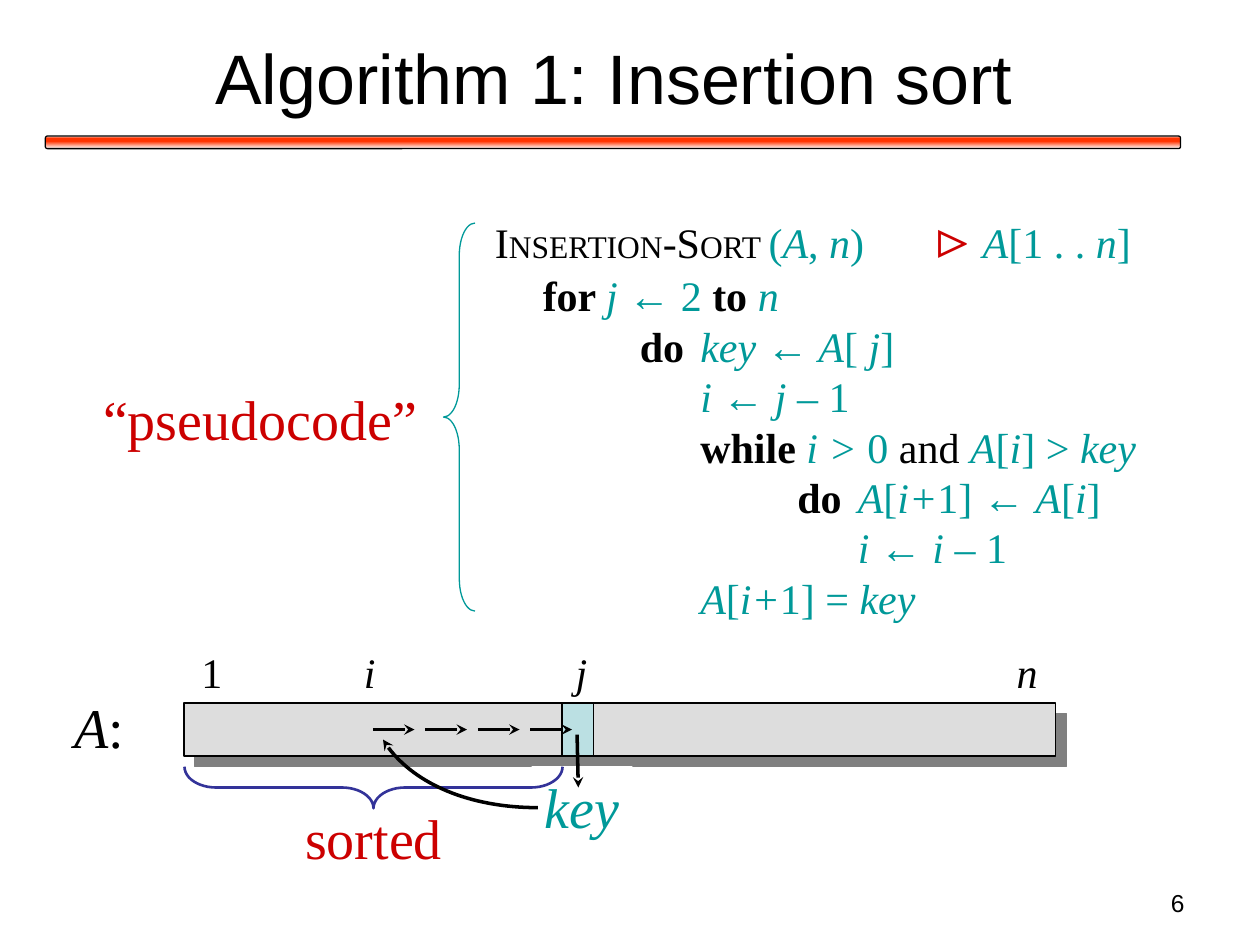
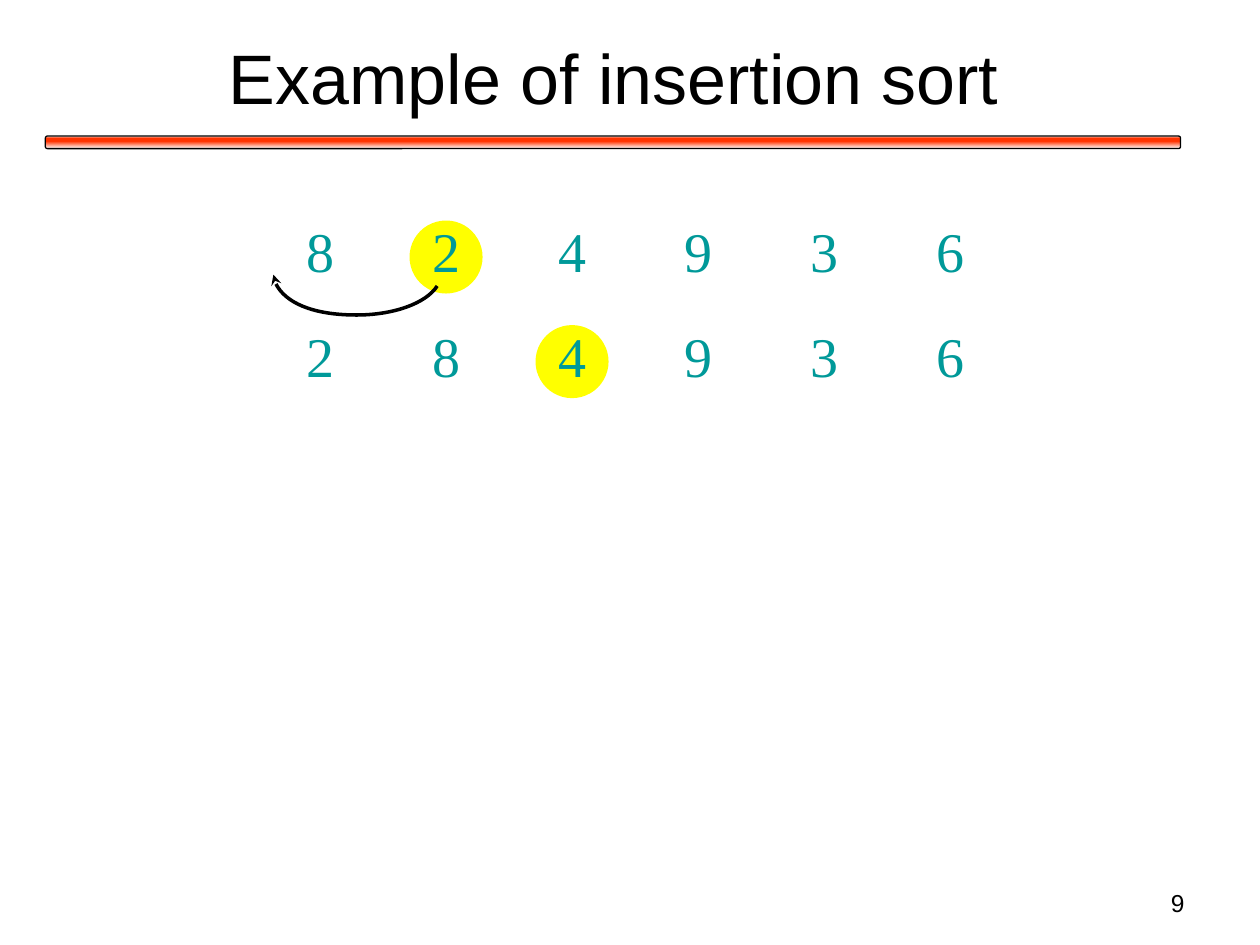
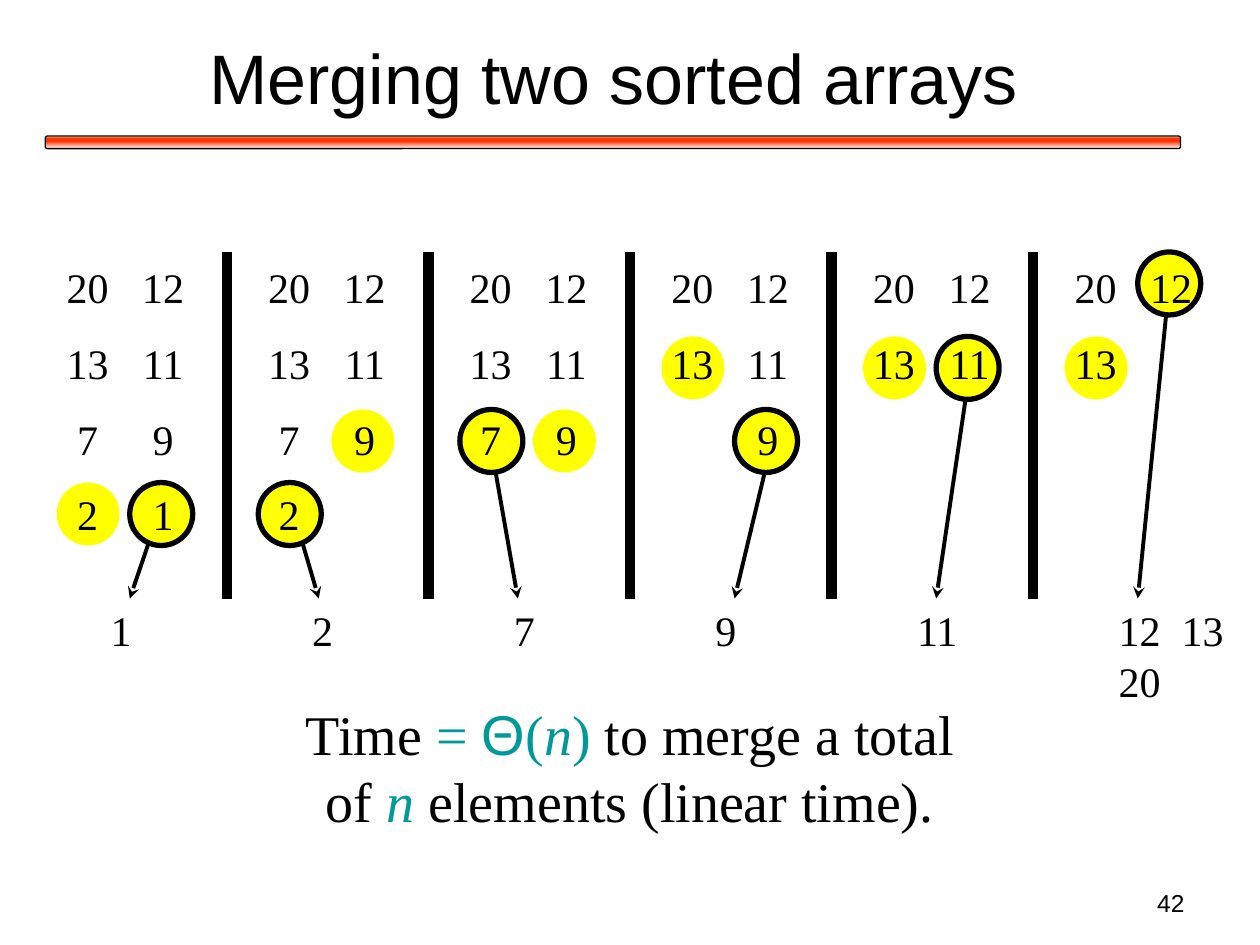
from dataclasses import dataclass
from typing import NamedTuple, Optional

from lxml.etree import SubElement
from pptx import Presentation
from pptx.dml.color import RGBColor
from pptx.enum.shapes import MSO_CONNECTOR, MSO_SHAPE
from pptx.enum.text import MSO_ANCHOR, MSO_AUTO_SIZE, PP_ALIGN
from pptx.oxml.ns import qn
from pptx.util import Inches, Pt


@dataclass(frozen=True)
class Theme:
    """Colours, fonts and type sizes of the deck."""
    black: str = "000000"
    white: str = "FFFFFF"
    teal: str = "009999"
    red: str = "CC0000"
    blue: str = "333399"
    yellow: str = "FFFF00"
    array: str = "DDDDDD"
    key_cell: str = "BBE0E3"
    shadow: str = "808080"
    bar: tuple = ((0, "FFFFFF"), (16, "FF3300"), (42, "FF3300"), (100, "FFFFFF"))
    sans: str = "Arial"
    serif: str = "Times New Roman"
    title: int = 40
    large: int = 32
    body: int = 24
    small_cap: int = 18
    page: int = 14


T = Theme()
LEFT, CENTER, RIGHT = PP_ALIGN.LEFT, PP_ALIGN.CENTER, PP_ALIGN.RIGHT


class Run(NamedTuple):
    """A piece of text with one format."""
    text: str
    size: int = T.body
    color: str = T.black
    bold: bool = False
    italic: bool = False
    font: str = T.serif


class Line(NamedTuple):
    """A paragraph with its indent and an optional tab stop."""
    runs: list
    left: float = 0
    hang: float = 0
    tab: Optional[float] = None


class MergeStep(NamedTuple):
    """One step of the merge: both columns, the side taken, the arrow, the output."""
    left: list
    right: list
    takes_right: bool
    start: tuple
    tip_x: float


def var(text: str, size: int = T.body) -> Run:
    """Teal italic variable."""
    return Run(text, size, T.teal, italic=True)


def sym(text: str, size: int = T.body) -> Run:
    """Teal upright symbols."""
    return Run(text, size, T.teal)


def word(text: str) -> Run:
    """Bold keyword."""
    return Run(text, bold=True)


def set_runs(p, runs: list) -> None:
    """Add formatted runs to a paragraph."""
    for item in runs:
        r = p.add_run()
        r.text = item.text
        r.font.size, r.font.name = Pt(item.size), item.font
        r.font.bold, r.font.italic = item.bold, item.italic
        r.font.color.rgb = RGBColor.from_string(item.color)


def add_text(slide, x: float, y: float, w: float, h: float, lines: list,
             align=LEFT, wrap: bool = False, spacing: Optional[float] = None):
    """Add a text box; each line is a Line or a list of runs."""
    sp = slide.shapes.add_textbox(Inches(x), Inches(y), Inches(w), Inches(h))
    tf = sp.text_frame
    tf.word_wrap = wrap
    tf.auto_size = MSO_AUTO_SIZE.NONE if wrap else MSO_AUTO_SIZE.SHAPE_TO_FIT_TEXT
    for n, item in enumerate(lines):
        line = item if isinstance(item, Line) else Line(item)
        p = tf.add_paragraph() if n else tf.paragraphs[0]
        p.alignment = align
        if spacing:
            p.line_spacing = spacing
        set_runs(p, line.runs)
        pr = p._p.get_or_add_pPr()
        if line.left:
            pr.set("marL", str(Inches(line.left)))
            pr.set("indent", str(-Inches(line.hang)))
        if line.tab:
            tabs = SubElement(pr, qn("a:tabLst"))
            SubElement(tabs, qn("a:tab"), pos=str(Inches(line.tab)), algn="l")
    return sp


def style(sp, fill: Optional[str], line: Optional[str], width: float) -> None:
    """Set fill and outline and remove the shadow."""
    sp.shadow.inherit = False
    if fill:
        sp.fill.solid()
        sp.fill.fore_color.rgb = RGBColor.from_string(fill)
    else:
        sp.fill.background()
    if line:
        sp.line.color.rgb = RGBColor.from_string(line)
        sp.line.width = Pt(width)
    else:
        sp.line.fill.background()


def add_shape(slide, kind, x: float, y: float, w: float, h: float,
              fill: Optional[str] = None, line: Optional[str] = None, width: float = 0.75):
    """Add a preset shape."""
    sp = slide.shapes.add_shape(kind, Inches(x), Inches(y), Inches(w), Inches(h))
    style(sp, fill, line, width)
    return sp


def add_brace(slide, x: float, y: float, w: float, h: float, curl: float,
              color: str, width: float, rotation: int = 0) -> None:
    """Add a left brace, rotated if asked."""
    sp = add_shape(slide, MSO_SHAPE.LEFT_BRACE, x, y, w, h, line=color, width=width)
    sp.adjustments[0] = curl
    sp.rotation = rotation


def add_arrowhead(sp) -> None:
    """Put a stealth arrowhead at the end of a line."""
    SubElement(sp._element.spPr.find(qn("a:ln")), qn("a:tailEnd"), type="stealth")


def add_line(slide, start: tuple, end: tuple, width: float, arrow: bool = True) -> None:
    """Add a straight black line or arrow."""
    sp = slide.shapes.add_connector(
        MSO_CONNECTOR.STRAIGHT, *(Inches(v) for v in (*start, *end)))
    sp.line.color.rgb = RGBColor.from_string(T.black)
    sp.line.width = Pt(width)
    if arrow:
        add_arrowhead(sp)
    SubElement(sp._element.spPr, qn("a:effectLst"))


def add_curved_arrow(slide, start: tuple, controls: list) -> None:
    """Add an arrow of cubic curves, three control points to a curve."""
    fb = slide.shapes.build_freeform(Inches(start[0]), Inches(start[1]))
    fb.add_line_segments([(Inches(x), Inches(y)) for x, y in controls], close=False)
    sp = fb.convert_to_shape()
    style(sp, None, T.black, 2)
    outline = next(sp._element.iter(qn("a:path")))
    segments = outline.findall(qn("a:lnTo"))
    for n in range(0, len(segments), 3):
        curve = SubElement(outline, qn("a:cubicBezTo"))
        for segment in segments[n:n + 3]:
            curve.append(segment[0])
            outline.remove(segment)
    add_arrowhead(sp)


def add_slide(prs, title: str, page: int):
    """Add a slide with the title, the red bar and the page number."""
    slide = prs.slides.add_slide(prs.slide_layouts[6])
    bar = add_shape(slide, MSO_SHAPE.ROUNDED_RECTANGLE, 0.36, 1.08, 9.01, 0.1, line=T.black)
    bar.fill.gradient()
    bar.fill.gradient_angle = 270
    stops = next(bar._element.iter(qn("a:gsLst")))
    stops.clear()
    for pos, color in T.bar:
        gs = SubElement(stops, qn("a:gs"), pos=str(pos * 1000))
        SubElement(gs, qn("a:srgbClr"), val=color)
    sp = add_text(slide, 0.37, 0.11, 9, 0.99,
                  [[Run(title, T.title, font=T.sans)]], CENTER, wrap=True)
    sp.text_frame.vertical_anchor = MSO_ANCHOR.MIDDLE
    add_text(slide, 7.17, 7, 2.33, 0.35,
             [[Run(str(page), T.page, font=T.sans)]], RIGHT, wrap=True)
    return slide


FOR, DO, BODY, INNER_DO, INNER = 0.38, 1.15, 1.63, 2.4, 2.88
PSEUDOCODE = [
    Line([Run("I"), Run("NSERTION", T.small_cap), Run("-S"), Run("ORT ", T.small_cap),
          sym("("), var("A"), sym(", "), var("n"), sym(")\t"),
          Run("⊳ ", T.large, T.red), var("A"), sym("[1 . . "), var("n"), sym("]")], tab=3.5),
    Line([word("for "), var("j "), sym("← 2 "), word("to "), var("n")], FOR),
    Line([word("do\t"), var("key ← A"), sym("[ "), var("j"), sym("]")], BODY, BODY - DO),
    Line([var("i ← j – "), sym("1")], BODY),
    Line([word("while "), var("i > "), sym("0"), Run(" and "), var("A"), sym("["),
          var("i"), sym("] > "), var("key")], BODY),
    Line([word("do\t"), var("A"), sym("["), var("i+"), sym("1] ← "), var("A"), sym("["),
          var("i"), sym("]")], INNER, INNER - INNER_DO),
    Line([var("i ← i – "), sym("1")], INNER),
    Line([var("A"), sym("["), var("i+"), sym("1] = "), var("key")], BODY),
]


def draw_algorithm(prs) -> None:
    """Pseudocode above the array it sorts."""
    slide = add_slide(prs, "Algorithm 1: Insertion sort", 6)
    add_text(slide, 3.83, 1.56, 6.2, 3.43, PSEUDOCODE, wrap=True)
    add_brace(slide, 3.52, 1.77, 0.25, 3.08, 1.03, T.teal, 0.75)
    add_text(slide, 0.72, 3, 2.7, 0.63, [[Run("“pseudocode”", T.large, T.red)]])

    array = add_shape(slide, MSO_SHAPE.RECTANGLE, 1.46, 5.58, 6.92, 0.42, T.array, T.black)
    effects = array._element.spPr.find(qn("a:effectLst"))
    shadow = SubElement(effects, qn("a:outerShdw"), dist=str(Pt(8.5)),
                        dir=str(45 * 60000), algn="ctr", rotWithShape="0")
    SubElement(shadow, qn("a:srgbClr"), val=T.shadow)
    add_shape(slide, MSO_SHAPE.RECTANGLE, 4.46, 5.58, 0.25, 0.42, T.key_cell, T.black)
    for label, x, w in (("1", 1.5, 0.37), ("i", 2.79, 0.29), ("j", 4.47, 0.29), ("n", 7.97, 0.37)):
        add_text(slide, x, 5.08, w, 0.5, [[Run(label, italic=label.isalpha())]])
    for n in range(4):
        x = 2.96 + n * 1.25 / 3
        add_line(slide, (x, 5.79), (x + 0.33, 5.79), 2)

    key = add_text(slide, 4.22, 6.08, 0.8, 0.63, [[var("key", T.large)]], CENTER)
    key.fill.solid()
    key.fill.fore_color.rgb = RGBColor.from_string(T.white)
    add_line(slide, (4.58, 5.83), (4.59, 6.25), 2)
    add_text(slide, 2.32, 6.33, 1.29, 0.63, [[Run("sorted", T.large, T.red)]], CENTER)
    add_brace(slide, 2.8, 4.75, 0.33, 3, 0.76, T.blue, 1.5, rotation=270)
    add_curved_arrow(slide, (4.27, 6.41), [(3.72, 6.41), (3.23, 6.19), (3.04, 5.87)])
    add_text(slide, 0.49, 5.45, 0.6, 0.63,
             [[Run("A", T.large, italic=True), Run(":", T.large)]], CENTER)


def draw_example(prs) -> None:
    """Two passes over the numbers, the current key circled."""
    slide = add_slide(prs, "Example of insertion sort", 9)
    for row, (numbers, key) in enumerate((("824936", 1), ("284936", 2))):
        y = 1.67 + row * 0.83
        add_shape(slide, MSO_SHAPE.OVAL, 2.25 + key, y + 0.08, 0.58, 0.58, T.yellow)
        for n, number in enumerate(numbers):
            add_text(slide, 2.33 + n, y, 0.42, 0.63, [[sym(number, T.large)]], CENTER)
    add_curved_arrow(slide, (3.47, 2.27), [(3.38, 2.41), (3.12, 2.5), (2.83, 2.5),
                                           (2.47, 2.5), (2.18, 2.36), (2.17, 2.18)])


LEFT_ARRAY, RIGHT_ARRAY = ["20", "13", "7", "2"], ["12", "11", "9", "1"]
CIRCLE_TOP = {1: 2, 2: 2.67, 3: 3.25, 4: 3.83}
STEP_WIDTH = 1.6
MERGE_STEPS = [
    MergeStep(LEFT_ARRAY[:a], RIGHT_ARRAY[:b], takes_right, start, tip_x)
    for a, b, takes_right, start, tip_x in (
        (4, 4, True, (1.2, 4.25), 1.03),
        (4, 3, False, (0.76, 4.17), 0.93),
        (3, 3, False, (0.66, 3.33), 0.91),
        (2, 3, True, (1.31, 3.58), 1.03),
        (2, 2, True, (1.3, 2.92), 1.03),
        (2, 1, True, (1.28, 2.25), 1.03),
    )
]


def draw_step(slide, step: MergeStep, x: float, last: bool) -> None:
    """Draw one merge step with its left edge at x."""
    add_line(slide, (x + step.start[0], step.start[1]), (x + step.tip_x, 4.75), 2.25)
    columns = ((step.left, 0.45, 0.43, not step.takes_right),
               (step.right, 1.03, 1.03, step.takes_right))
    for numbers, circle_x, _, taken in columns:
        add_shape(slide, MSO_SHAPE.OVAL, x + circle_x, CIRCLE_TOP[len(numbers)], 0.5, 0.5,
                  T.yellow, T.black if taken else None, 3)
    for numbers, _, text_x, _ in columns:
        add_text(slide, x + text_x, 1.83, 0.53, 0.1 + 0.6 * len(numbers),
                 [[Run(n)] for n in numbers], CENTER, spacing=1.5)
    if last:
        sp = add_text(slide, x + 0.78, 4.75, 1.04, 0.91,
                      [Line([Run("13")], 0.5, 0.5), [Run("20")]])
        pr = sp.text_frame.paragraphs[0]._p.get_or_add_pPr()
        SubElement(pr, qn("a:buFont"), typeface=T.serif)
        SubElement(pr, qn("a:buAutoNum"), type="arabicPlain", startAt="12")
    else:
        output = (step.right if step.takes_right else step.left)[-1]
        add_text(slide, x + 0.78, 4.75, 0.21 + 0.16 * len(output), 0.5, [[Run(output)]])


def draw_merge(prs) -> None:
    """The merge steps side by side, with the running time below."""
    slide = add_slide(prs, "Merging two sorted arrays", 42)
    for n, step in enumerate(MERGE_STEPS):
        x = n * STEP_WIDTH
        draw_step(slide, step, x, last=n == len(MERGE_STEPS) - 1)
        if n:
            add_line(slide, (x + 0.2, 2), (x + 0.2, 4.75), 6, arrow=False)
    add_text(slide, 2.24, 5.5, 5.52, 1.17, [[
        Run("Time ", T.large), sym("= ", T.large), Run("Θ", T.large, T.teal, font=T.sans),
        sym("(", T.large), var("n", T.large), sym(") ", T.large),
        Run("to merge a total of ", T.large), var("n", T.large),
        Run(" elements (linear time).", T.large)]], CENTER, wrap=True)


def main() -> None:
    """Build the deck."""
    prs = Presentation()
    prs.slide_width, prs.slide_height = Inches(10), Inches(7.5)
    draw_algorithm(prs)
    draw_example(prs)
    draw_merge(prs)
    prs.save("out.pptx")


main()
